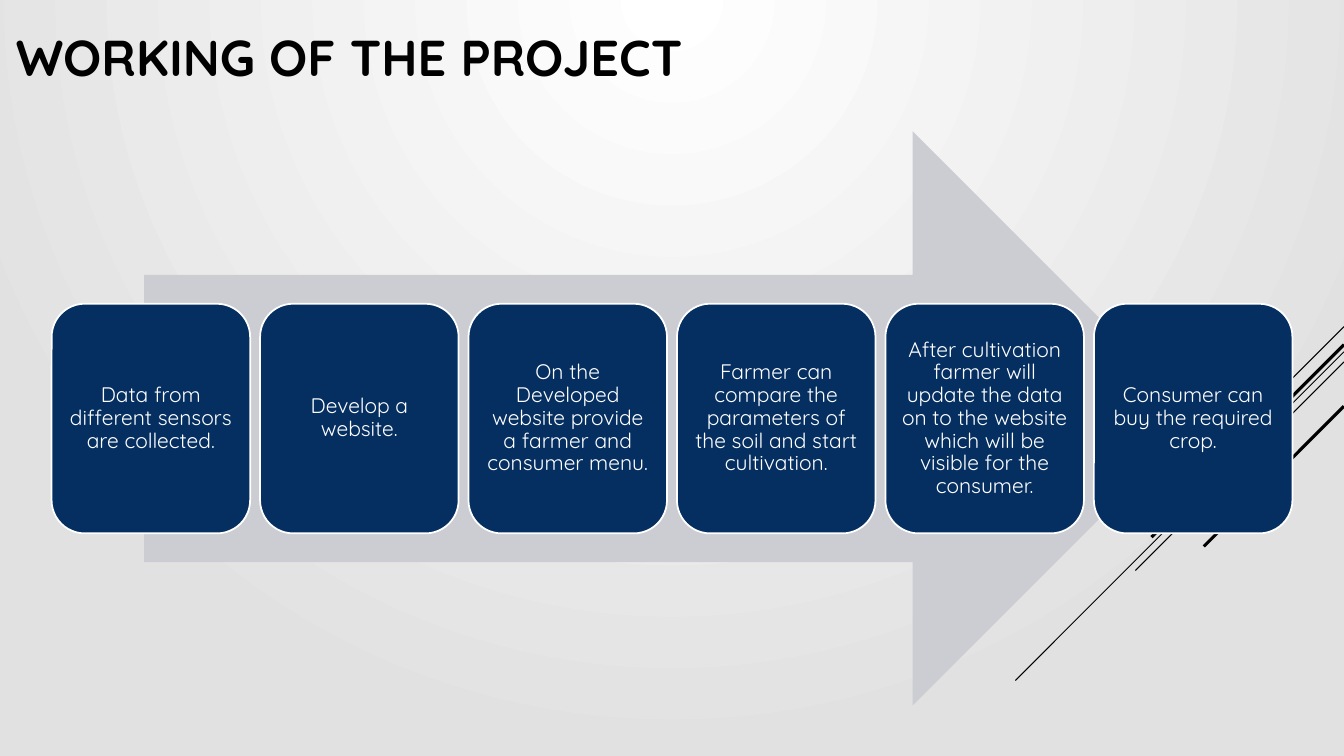
from pptx import Presentation
from pptx import util as u
from pptx.dml import color
from pptx.enum import shapes, text
from pptx.oxml import parse_xml
from pptx.oxml import ns

FONT = "Quicksand"
BLACK, WHITE, NAVY, GREY = "000000", "FFFFFF", "052F61", "CCCDD2"


def rgb(value):
    return color.RGBColor.from_string(value)


class Deck:
    def __init__(self, width, height):
        self.prs = Presentation()
        self.prs.slide_width, self.prs.slide_height = u.Pt(width), u.Pt(height)
        self.s = self.prs.slides.add_slide(self.prs.slide_layouts[6])

    def background(self, inner, outer):
        bg = parse_xml(
            f'<p:bg {ns.nsdecls("p", "a")}><p:bgPr><a:gradFill rotWithShape="1"><a:gsLst>'
            f'<a:gs pos="0"><a:srgbClr val="{inner}"/></a:gs>'
            f'<a:gs pos="100000"><a:srgbClr val="{outer}"/></a:gs></a:gsLst>'
            '<a:path path="circle"><a:fillToRect b="100000"/></a:path>'
            '</a:gradFill><a:effectLst/></p:bgPr></p:bg>')
        self.s.element.cSld.insert(0, bg)

    def line(self, x1, y1, x2, y2, width):
        c = self.s.shapes.add_connector(
            shapes.MSO_CONNECTOR.STRAIGHT, *map(u.Pt, (x1, y1, x2, y2)))
        c.line.color.rgb = rgb(BLACK)
        c.line.width = u.Pt(width)
        c.element.spPr.append(parse_xml(f'<a:effectLst {ns.nsdecls("a")}/>'))

    def shape(self, kind, box, fill, outline=None):
        sp = self.s.shapes.add_shape(kind, *map(u.Pt, box))
        sp.shadow.inherit = False
        sp.fill.solid()
        sp.fill.fore_color.rgb = rgb(fill)
        if outline:
            sp.line.color.rgb = rgb(outline)
            sp.line.width = u.Pt(1.25)
        else:
            sp.line.fill.background()
        return sp

    def label(self, sp, words, size, ink, anchor, align, bold=False, spacing=1.0):
        tf = sp.text_frame
        tf.word_wrap = True
        tf.vertical_anchor = anchor
        p = tf.paragraphs[0]
        p.alignment = align
        p.line_spacing = spacing
        r = p.add_run()
        r.text = words
        r.font.name, r.font.size, r.font.bold = FONT, u.Pt(size), bold
        r.font.color.rgb = rgb(ink)

    def title(self, words, box):
        sp = self.s.shapes.add_textbox(*map(u.Pt, box))
        self.label(sp, words, 36, BLACK, text.MSO_ANCHOR.BOTTOM,
                   text.PP_ALIGN.LEFT, bold=True)

    def step(self, words, box):
        sp = self.shape(shapes.MSO_SHAPE.ROUNDED_RECTANGLE, box, NAVY, WHITE)
        tf = sp.text_frame
        tf.margin_left = tf.margin_right = tf.margin_top = tf.margin_bottom = u.Pt(4.5)
        self.label(sp, words, 15, WHITE, text.MSO_ANCHOR.MIDDLE,
                   text.PP_ALIGN.CENTER, spacing=0.9)


WIDTH, HEIGHT = 960, 540
STREAKS = [(233.3, 72, 0.75), (251.3, 234.7, 0.75), (258.5, 149, 0.75),
           (246.2, 137.5, 2.25), (290.2, 100.1, 2.25)]
STEPS = [
    "Data from different sensors are collected.",
    "Develop a website.",
    "On the Developed website provide a farmer and consumer menu.",
    "Farmer can compare the parameters of the soil and start cultivation.",
    "After cultivation farmer will update the data on to the website "
    "which will be visible for the consumer.",
    "Consumer can buy the required crop.",
]
STEP_LEFT, STEP_TOP, STEP_WIDTH, STEP_HEIGHT, STEP_PITCH = 36.9, 217, 141.8, 164, 148.9


def main():
    deck = Deck(WIDTH, HEIGHT)
    deck.background("FFFFFF", "E1E1E1")
    for top, run, width in STREAKS:
        deck.line(WIDTH, top, WIDTH - run, top + run, width)
    deck.title("WORKING OF THE PROJECT", (4.3, 9.4, 671.8, 56.2))
    deck.shape(shapes.MSO_SHAPE.RIGHT_ARROW, (103, 93.8, 754, 410.2), GREY)
    for i, words in enumerate(STEPS):
        deck.step(words, (STEP_LEFT + i * STEP_PITCH, STEP_TOP, STEP_WIDTH, STEP_HEIGHT))
    deck.prs.save("out.pptx")


if __name__ == "__main__":
    main()
